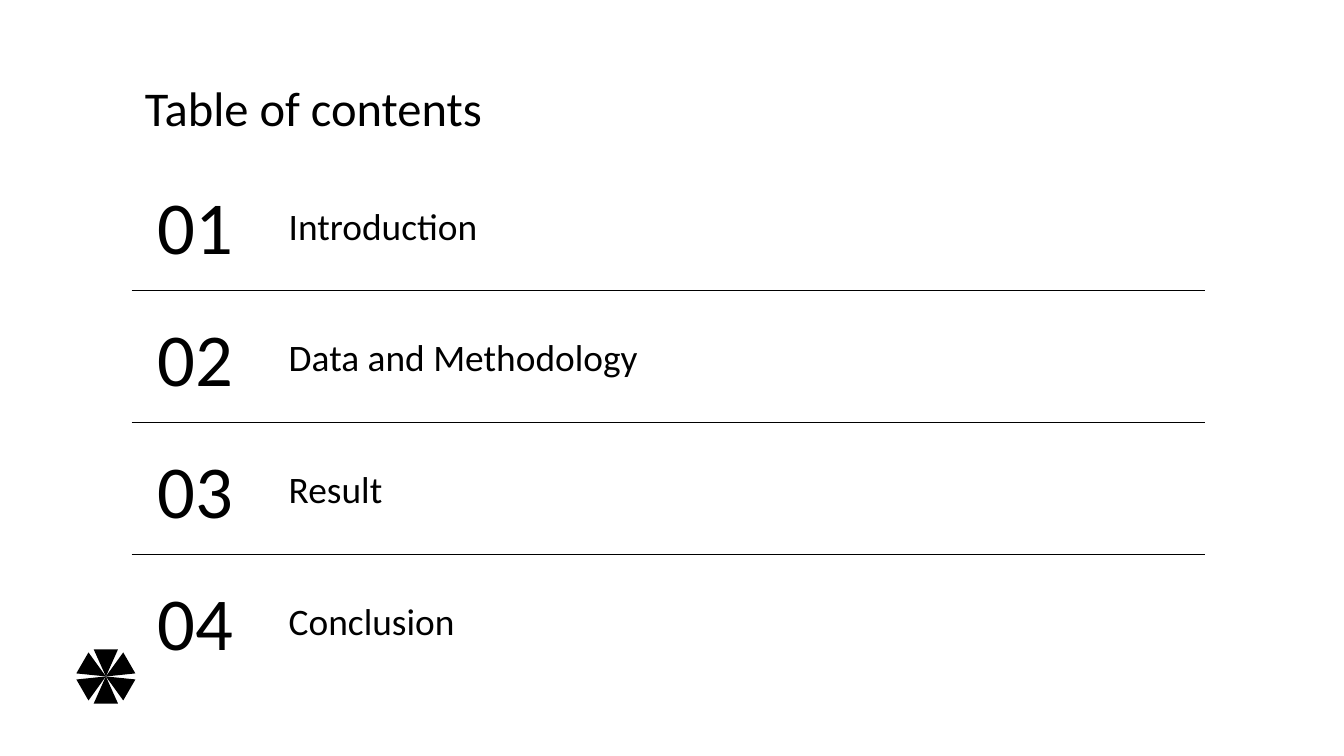
"""Build a table of contents slide with four numbered sections."""
from math import cos, radians, sin

from lxml import etree
from pptx import Presentation
from pptx.dml.color import RGBColor
from pptx.enum.shapes import MSO_CONNECTOR, MSO_SHAPE
from pptx.enum.text import MSO_ANCHOR, PP_ALIGN
from pptx.oxml.ns import qn
from pptx.util import Pt

BLACK = RGBColor(0, 0, 0)
WHITE = RGBColor(255, 255, 255)
FONT = "Calibri"
LEFT, CENTER = PP_ALIGN.LEFT, PP_ALIGN.CENTER
TOP, MIDDLE = MSO_ANCHOR.TOP, MSO_ANCHOR.MIDDLE
STRAIGHT = MSO_CONNECTOR.STRAIGHT
TRIANGLE = MSO_SHAPE.ISOSCELES_TRIANGLE

SECTIONS = ["Introduction", "Data and Methodology", "Result", "Conclusion"]
ROW_PITCH = 70.65
RULE_LEFT, RULE_RIGHT = 70.5, 645.75


def add_text(s, text, x, y, w, h, size, align=LEFT, anchor=MIDDLE):
    tb = s.shapes.add_textbox(Pt(x), Pt(y), Pt(w), Pt(h))
    tf = tb.text_frame
    tf.word_wrap = True
    tf.vertical_anchor = anchor
    tf.margin_left = tf.margin_right = Pt(7.2)
    tf.margin_top = tf.margin_bottom = Pt(7.2)
    tf.text = text
    p = tf.paragraphs[0]
    p.alignment = align
    font = p.runs[0].font
    font.name = FONT
    font.size = Pt(size)
    font.color.rgb = BLACK


def add_rule(s, y):
    line = s.shapes.add_connector(STRAIGHT, Pt(RULE_LEFT), Pt(y), Pt(RULE_RIGHT), Pt(y))
    line.line.color.rgb = BLACK
    line.line.width = Pt(0.75)
    etree.SubElement(line._element.spPr, qn("a:effectLst"))


def add_pinwheel(s, cx, cy, w, h, blades=6):
    group = s.shapes.add_group_shape()
    for i in range(blades):
        angle = i * 360 / blades
        x = cx - h / 2 * sin(radians(angle)) - w / 2
        y = cy + h / 2 * cos(radians(angle)) - h / 2
        sp = group.shapes.add_shape(TRIANGLE, Pt(x), Pt(y), Pt(w), Pt(h))
        sp.rotation = angle
        sp.shadow.inherit = False
        sp.fill.solid()
        sp.fill.fore_color.rgb = BLACK
        sp.line.fill.background()


def main():
    prs = Presentation()
    prs.slide_width, prs.slide_height = Pt(720), Pt(405)
    s = prs.slides.add_slide(prs.slide_layouts[6])
    s.background.fill.solid()
    s.background.fill.fore_color.rgb = WHITE

    add_text(s, "Table of contents", 70.5, 34.6, 607, 45.4, 26, anchor=TOP)
    for i, section in enumerate(SECTIONS):
        offset = i * ROW_PITCH
        add_text(s, f"{i + 1:02}", 74.2, 90.7 + offset, 61.2, 59.8, 40, CENTER)
        add_text(s, section, 147.6, 105.1 + offset, 305.3, 31, 20)
        if i < len(SECTIONS) - 1:
            add_rule(s, 155.7 + offset)
    add_pinwheel(s, 56.7, 362.4, 13, 14.5)

    prs.save("out.pptx")


if __name__ == "__main__":
    main()
